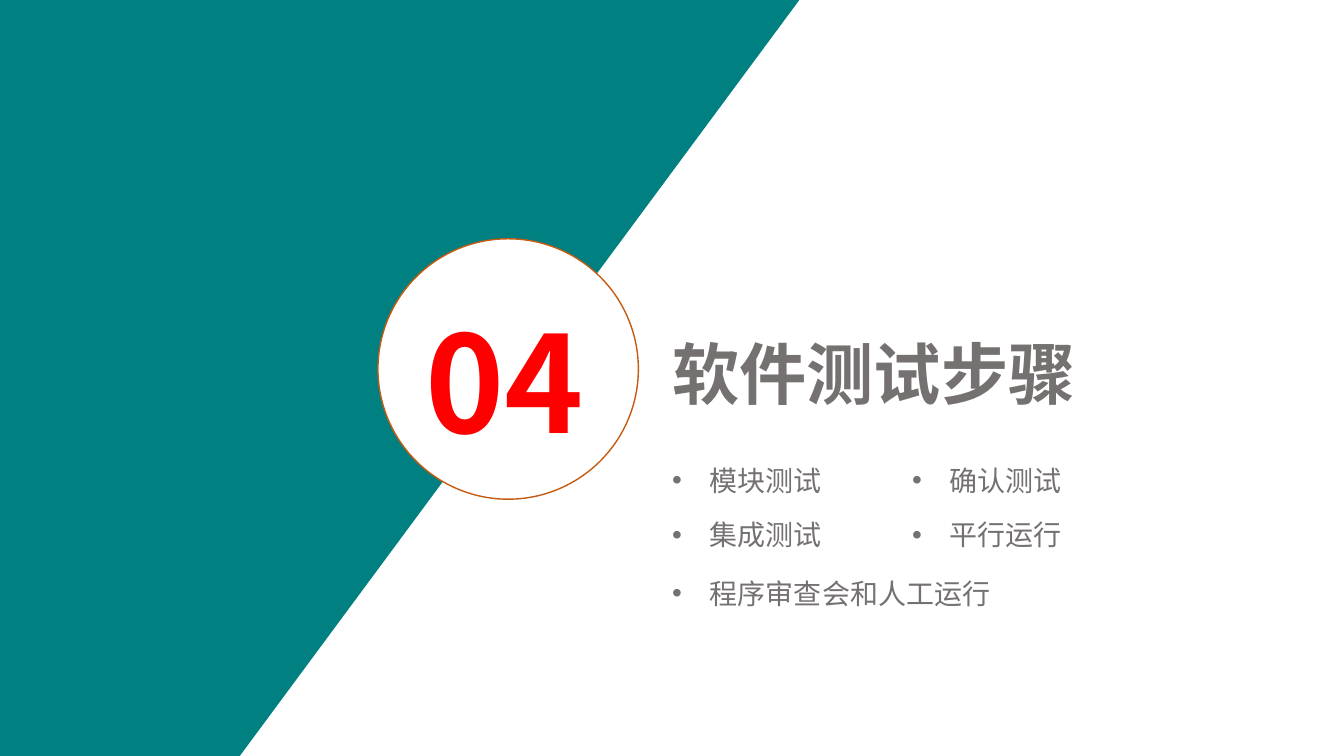
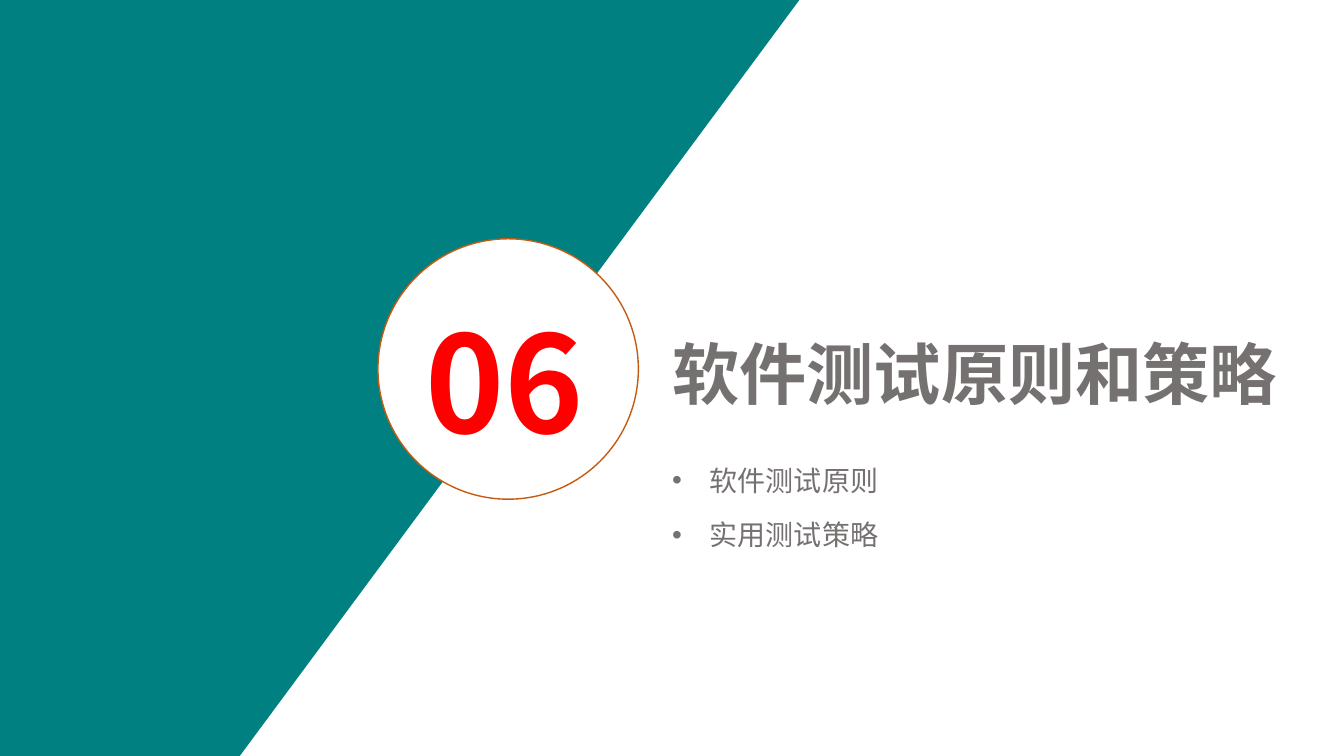
from lxml import etree
from pptx import Presentation
from pptx.dml.color import RGBColor
from pptx.enum.shapes import MSO_SHAPE
from pptx.enum.text import MSO_ANCHOR, MSO_AUTO_SIZE, PP_ALIGN
from pptx.oxml.ns import qn
from pptx.util import Pt

OVAL = MSO_SHAPE.OVAL
BOTTOM = MSO_ANCHOR.BOTTOM
NO_AUTOFIT = MSO_AUTO_SIZE.NONE
LEFT = PP_ALIGN.LEFT

COLORS = {
    "band": "008080",
    "circle": "FFFFFF",
    "ring": "C55A11",
    "number": "FF0000",
    "text": "767171",
}
FONT = "Noto Sans CJK SC"
PAGE_WIDTH, PAGE_HEIGHT = 960, 540
TITLE_ONLY = 5

# Boxes: left, top, width, height
BAND = (0, 0, 571, PAGE_HEIGHT)
BADGE = (270, 170.6, 186, 186)
TEXT_LEFT = 473
TITLE_TOP, TITLE_HEIGHT = 229.7, 69.1
LIST_BOX = (TEXT_LEFT, 325.4, 463.7, 113.8)

BAND_FOOT = 0.3  # share of the band's width left at its lower edge
COLUMN_STEP = 171.4
ROW_OFFSETS = (0, 38.9, 80.7)
ITEM_WIDTH, ITEM_HEIGHT = 292.3, 33.1
BULLET_INDENT = 27

# Number, title, title width, columns of items
SECTIONS = [
    ("04", "软件测试步骤", 404.6,
     [["模块测试", "集成测试", "程序审查会和人工运行"], ["确认测试", "平行运行"]]),
    ("06", "软件测试原则和策略", 472.3,
     [["软件测试原则", "实用测试策略"]]),
]


def color(name):
    return RGBColor.from_string(COLORS[name])


def place(shape, box):
    shape.left, shape.top, shape.width, shape.height = map(Pt, box)


def write(shape, text, size, color_name, bold=False, bullet=False):
    """Set one left-aligned line of text, resting on the box's lower edge."""
    frame = shape.text_frame
    frame.word_wrap = True
    frame.auto_size = NO_AUTOFIT
    frame.vertical_anchor = BOTTOM
    frame.margin_left = frame.margin_right = Pt(7.2)
    frame.margin_top = frame.margin_bottom = Pt(3.6)
    para = frame.paragraphs[0]
    para.alignment = LEFT
    para.line_spacing = 1.0
    para.space_before = Pt(0)
    if bullet:
        add_bullet(para)
    span = para.add_run()
    span.text = text
    span.font.size = Pt(size)
    span.font.bold = bold
    span.font.name = FONT
    span.font.color.rgb = color(color_name)
    # East Asian glyphs take their own typeface element
    latin = span.font._element.find(qn("a:latin"))
    east_asian = etree.Element(qn("a:ea"), typeface=FONT)
    latin.addnext(east_asian)


def add_bullet(para):
    properties = para._p.get_or_add_pPr()
    properties.set("marL", str(Pt(BULLET_INDENT)))
    properties.set("indent", str(-Pt(BULLET_INDENT)))
    etree.SubElement(properties, qn("a:buFont"), typeface="Arial")
    etree.SubElement(properties, qn("a:buChar"), char="•")


def add_band(page, box):
    """Slanted colour field on the left."""
    left, top, width, height = box
    corners = [(left + width, top), (left + width * BAND_FOOT, top + height),
               (left, top + height)]
    outline = page.shapes.build_freeform(Pt(left), Pt(top))
    outline.add_line_segments([(Pt(x), Pt(y)) for x, y in corners], close=True)
    band = outline.convert_to_shape()
    band.shadow.inherit = False
    band.fill.solid()
    band.fill.fore_color.rgb = color("band")
    band.line.fill.background()


def add_badge(page, box, number):
    """Ringed circle with the section number."""
    left, top, width, height = box
    badge = page.shapes.add_group_shape()
    circle = badge.shapes.add_shape(OVAL, *map(Pt, box))
    circle.shadow.inherit = False
    circle.fill.solid()
    circle.fill.fore_color.rgb = color("circle")
    circle.line.color.rgb = color("ring")
    circle.line.width = Pt(1)
    label_box = (left + 26.6, top + 31.7, width - 49.2, height - 55.7)
    label = badge.shapes.add_textbox(*map(Pt, label_box))
    write(label, number, 96, "number", bold=True)


def add_items(page, box, columns):
    """Bulleted topics on a grid of columns and rows."""
    left, top = box[:2]
    for column, items in enumerate(columns):
        for offset, item in zip(ROW_OFFSETS, items):
            item_box = (left + column * COLUMN_STEP, top + offset,
                        ITEM_WIDTH, ITEM_HEIGHT)
            topic = page.shapes.add_textbox(*map(Pt, item_box))
            write(topic, item, 20, "text", bullet=True)


def add_section(deck, number, title, title_width, columns):
    page = deck.slides.add_slide(deck.slide_layouts[TITLE_ONLY])
    add_band(page, BAND)
    add_badge(page, BADGE, number)
    heading = page.shapes.title
    place(heading, (TEXT_LEFT, TITLE_TOP, title_width, TITLE_HEIGHT))
    write(heading, title, 48, "text", bold=True)
    add_items(page, LIST_BOX, columns)


def main():
    deck = Presentation()
    deck.slide_width, deck.slide_height = Pt(PAGE_WIDTH), Pt(PAGE_HEIGHT)
    for section in SECTIONS:
        add_section(deck, *section)
    deck.save("out.pptx")


if __name__ == "__main__":
    main()
